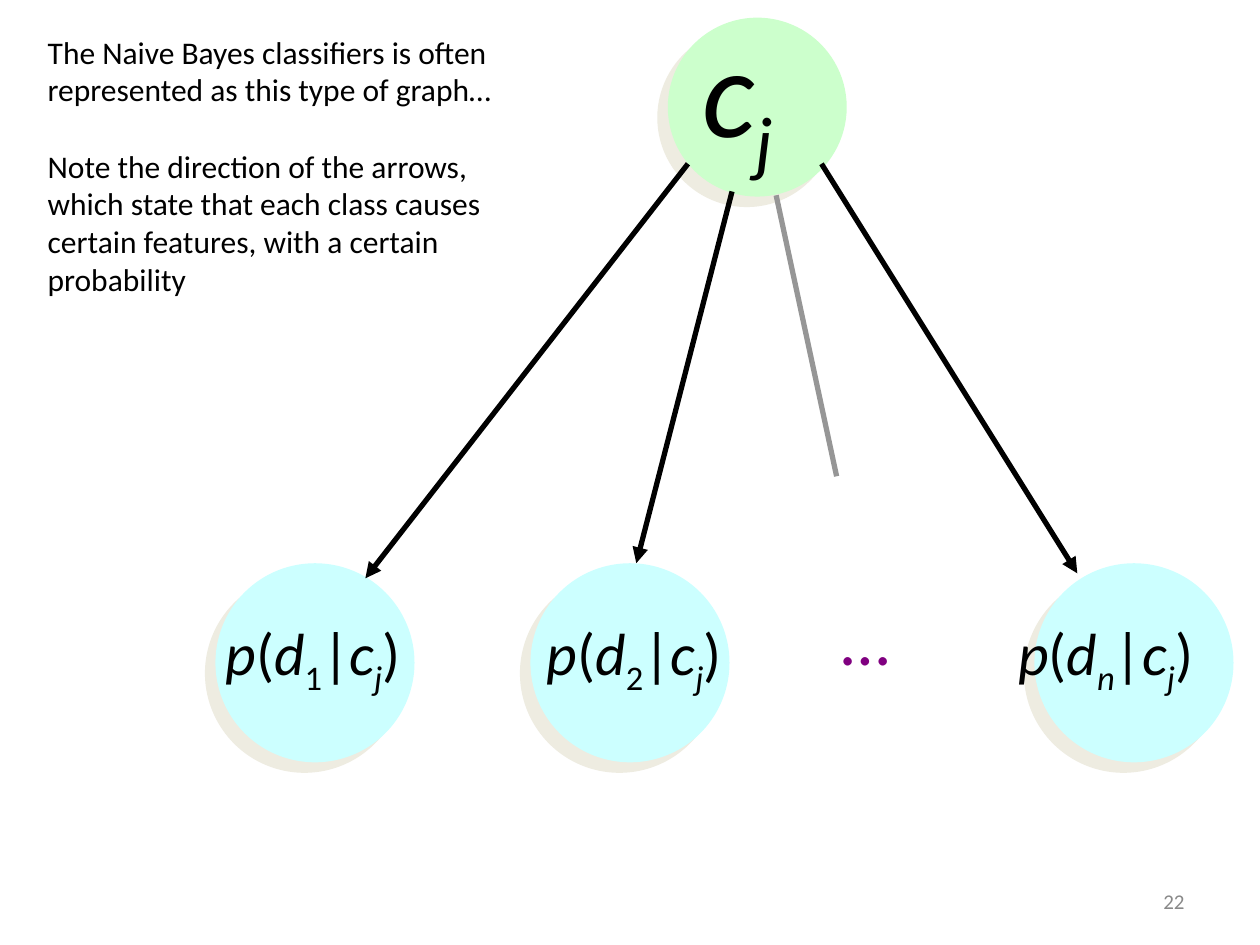
from lxml.etree import SubElement
from pptx import Presentation
from pptx.dml.color import RGBColor
from pptx.enum.shapes import MSO_CONNECTOR, MSO_SHAPE
from pptx.enum.text import MSO_ANCHOR, PP_ALIGN
from pptx.oxml.ns import qn
from pptx.util import Inches, Pt

THEME = {
    "font": "Calibri",
    "ink": "000000", "class": "CCFFCC", "feature": "CCFFFF", "shade": "EEECE1",
    "faded": "969696", "dots": "800080", "number": "898989",
    "class_size": 72, "dots_size": 40, "formula_size": 34,
    "note_size": 18, "number_size": 12,
    "stroke": 3, "shade_offset": 8.5, "shade_angle": 135, "subscript": "-25000",
}

NOTES = [
    "The Naive Bayes classifiers is often represented as this type of graph…",
    "Note the direction of the arrows, which state that each class causes "
    "certain features, with a certain probability",
]
CLASS_NAME = [("c", "i"), ("j", "is")]
FEATURES = [
    {"center": 2.5, "label_left": 1.79, "index": ("1", "s")},
    {"center": 5, "label_left": 4.34, "index": ("2", "s")},
    {"center": 9, "label_left": 8.08, "index": ("n", "is")},
]
EDGES = [
    ((5.46, 1.3), (2.9, 4.59), "ink", True),
    ((6.52, 1.3), (8.55, 4.55), "ink", True),
    ((6.16, 1.55), (6.64, 3.78), "faded", False),
    ((5.81, 1.52), (5.05, 4.47), "ink", True),
]
CLASS_CENTER, CLASS_DIAMETER = (6.01, 0.85), 1.42
FEATURE_MIDDLE, FEATURE_DIAMETER = 5.26, 1.58
LABEL_TOP = 4.89
INSET = {"margin_left": 0.1, "margin_right": 0.1, "margin_top": 0.05, "margin_bottom": 0.05}
FLUSH = dict.fromkeys(INSET, 0)


def color(key):
    return RGBColor.from_string(THEME[key])


def apply(target, values):
    for name, value in values.items():
        setattr(target, name, value)


def formula(index):
    return [("p", "i"), ("(", ""), ("d", "i"), index, ("|", "")] + CLASS_NAME + [(")", "")]


def add_node(slide, center, diameter, fill):
    left, top = (axis - diameter / 2 for axis in center)
    node = slide.shapes.add_shape(MSO_SHAPE.OVAL, *map(Inches, (left, top, diameter, diameter)))
    node.shadow.inherit = False
    node.fill.solid()
    node.fill.fore_color.rgb = color(fill)
    node.line.fill.background()
    effects = node._element.spPr.find(qn("a:effectLst"))
    shade = SubElement(effects, qn("a:outerShdw"), blurRad="0",
                       dist=str(Pt(THEME["shade_offset"])),
                       dir=str(THEME["shade_angle"] * 60000), algn="ctr", rotWithShape="0")
    SubElement(shade, qn("a:srgbClr"), val=THEME["shade"])


def add_edge(slide, start, end, stroke, arrow):
    edge = slide.shapes.add_connector(MSO_CONNECTOR.STRAIGHT, *map(Inches, start + end))
    edge.line.width = Pt(THEME["stroke"])
    edge.line.color.rgb = color(stroke)
    if arrow:
        SubElement(edge.line._get_or_add_ln(), qn("a:tailEnd"), type="triangle")
    SubElement(edge._element.spPr, qn("a:effectLst"))


def add_text(slide, box, paragraphs, size, ink="ink", inset=INSET, wrap=False,
             anchor=MSO_ANCHOR.TOP, align=PP_ALIGN.LEFT, gap=0):
    frame = slide.shapes.add_textbox(*map(Inches, box)).text_frame
    apply(frame, {"word_wrap": wrap, "vertical_anchor": anchor})
    apply(frame, {side: Inches(length) for side, length in inset.items()})
    for order, pieces in enumerate(paragraphs):
        paragraph = frame.add_paragraph() if order else frame.paragraphs[0]
        apply(paragraph, {"alignment": align, "space_before": Pt(gap if order else 0)})
        for wording, style in pieces:
            run = paragraph.add_run()
            run.text = wording
            apply(run.font, {"name": THEME["font"], "size": Pt(THEME[size]), "italic": "i" in style})
            run.font.color.rgb = color(ink)
            if "s" in style:
                run.font._element.set("baseline", THEME["subscript"])


def main():
    deck = Presentation()
    apply(deck, {"slide_width": Inches(10), "slide_height": Inches(7.5)})
    slide = deck.slides.add_slide(deck.slide_layouts[6])

    for feature in FEATURES:
        add_node(slide, (feature["center"], FEATURE_MIDDLE), FEATURE_DIAMETER, "feature")
    add_node(slide, CLASS_CENTER, CLASS_DIAMETER, "class")
    for feature in FEATURES:
        add_text(slide, (feature["label_left"], LABEL_TOP, 1.5, 0.65),
                 [formula(feature["index"])], "formula_size", inset=FLUSH, wrap=True)
    add_text(slide, (5.48, 0.04, 1, 1.47), [CLASS_NAME], "class_size", wrap=True)
    for edge in EDGES:
        add_edge(slide, *edge)
    add_text(slide, (0.28, 0.21, 3.99, 2.8), [[(note, "")] for note in NOTES],
             "note_size", wrap=True, gap=THEME["note_size"] * 1.22)
    add_text(slide, (6.58, 4.68, 0.58, 0.77), [[("…", "")]], "dots_size", "dots")
    add_text(slide, (7.17, 6.95, 2.33, 0.4), [[("22", "")]], "number_size", "number",
             wrap=True, anchor=MSO_ANCHOR.MIDDLE, align=PP_ALIGN.RIGHT)
    deck.save("out.pptx")


if __name__ == "__main__":
    main()
